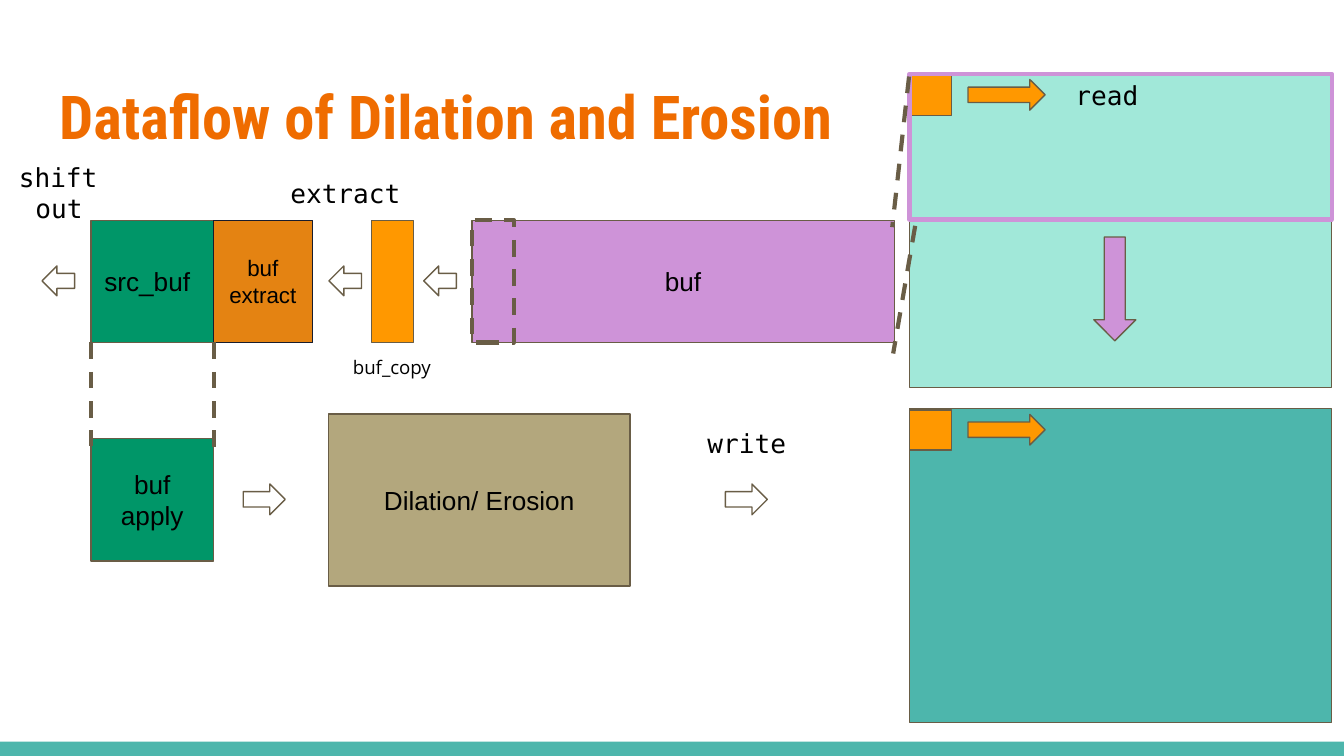
import pptx
import pptx.util
import pptx.dml.color
import pptx.enum.dml
import pptx.enum.shapes
import pptx.enum.text
import lxml.etree

Pt = pptx.util.Pt
SHAPE = pptx.enum.shapes.MSO_SHAPE
ALIGN = pptx.enum.text.PP_ALIGN
ANCHOR = pptx.enum.text.MSO_ANCHOR
DASH = pptx.enum.dml.MSO_LINE.DASH

color = pptx.dml.color.RGBColor.from_string
BROWN, TEAL, MINT, PURPLE = "695D46", "4DB6AC", "A1E8D9", "CE93D8"
ORANGE, GREEN, WHITE = "FF9800", "009668", "FFFFFF"


def write(frame, text, anchor, align, font_name, size, hue="000000", bold=False):
    frame_format = {"word_wrap": True, "vertical_anchor": anchor,
                    "auto_size": pptx.enum.text.MSO_AUTO_SIZE.NONE}
    for side in ("left", "right", "top", "bottom"):
        frame_format["margin_" + side] = Pt(7.2)
    for key, value in frame_format.items():
        setattr(frame, key, value)
    frame.text = text
    for paragraph in frame.paragraphs:
        paragraph.alignment = align
        for key, value in {"name": font_name, "size": Pt(size), "bold": bold}.items():
            setattr(paragraph.font, key, value)
        paragraph.font.color.rgb = color(hue)


def block(kind, left, top, width, height, fill=None, line=BROWN, weight=0.75, dash=None):
    part = slide.shapes.add_shape(kind, Pt(left), Pt(top), Pt(width), Pt(height))
    part.shadow.inherit = False
    if fill:
        part.fill.solid()
        part.fill.fore_color.rgb = color(fill)
    else:
        part.fill.background()
    if line:
        part.line.color.rgb = color(line)
        part.line.width = Pt(weight)
        part.line.dash_style = dash
    else:
        part.line.fill.background()
    return part


deck = pptx.Presentation()
deck.slide_width, deck.slide_height = Pt(720), Pt(405)
slide = deck.slides.add_slide(deck.slide_layouts[5])

# Footer band and title
block(SHAPE.RECTANGLE, 0, 397.4, 720, 7.6, TEAL, None)
title = slide.shapes.title
title_place = {"left": 24.5, "top": 35.3, "width": 671, "height": 55.4}
for key, value in title_place.items():
    setattr(title, key, Pt(value))
write(title.text_frame, "Dataflow of Dilation and Erosion", ANCHOR.TOP, ALIGN.LEFT,
      "Roboto Condensed", 32.4, "EF6C00", True)

# Shared grid
image_left, image_width, image_height = 487.2, 226.3, 168
source_top, result_top = 39.6, 219
row_top, cell = 118, 65.5
buf_left, pixel_width, pixel_height = 252.8, 22.5, 21.6
src_left, apply_top = 48.8, 235

# Source and result images, each with its pixel block and scan arrow
for top, fill in ((source_top, MINT), (result_top, TEAL)):
    block(SHAPE.RECTANGLE, image_left, top, image_width, image_height, fill)
    block(SHAPE.RECTANGLE, image_left, top + 0.6, pixel_width, pixel_height, ORANGE)
    block(SHAPE.RIGHT_ARROW, 518.6, top + 3, 41.3, 16.4, ORANGE)
block(SHAPE.DOWN_ARROW, 586, 127, 22.5, 55.6, PURPLE)
block(SHAPE.RECTANGLE, image_left, source_top, image_width, 78, None, PURPLE, 2.25)

# Buffers and the operator
center, left = ALIGN.CENTER, ALIGN.LEFT
for text, x, y, width, height, fill, line, size, align in (
    ("buf", buf_left, row_top, image_width, cell, PURPLE, BROWN, 14, center),
    ("src_buf", src_left, row_top, 118.5, cell, GREEN, BROWN, 14, left),
    ("buf\nextract", 114.4, row_top, 52.9, cell, "E48312", "171C2D", 12, center),
    ("buf\napply", src_left, apply_top, cell, cell, GREEN, BROWN, 14, center),
    ("Dilation/ Erosion", 176, 221.7, 161.5, 92.2, "B3A77D", BROWN, 14, center),
):
    buffer = block(SHAPE.RECTANGLE, x, y, width, height, fill, line)
    write(buffer.text_frame, text, ANCHOR.MIDDLE, align, "Arial", size)

# Column copied out of buf
block(SHAPE.RECTANGLE, 199, row_top, pixel_width, cell, ORANGE)
block(SHAPE.RECTANGLE, buf_left, row_top, pixel_width, cell, None, BROWN, 2.25, DASH)

# Flow arrows
for x in (22.5, 176.2, 227):
    block(SHAPE.LEFT_ARROW, x, 142.5, 17.5, 16, WHITE)
for x in (130.3, 388.6):
    block(SHAPE.RIGHT_ARROW, x, 259.3, 22.5, 16.5, WHITE)

# Dashed guides between matching corners
for x1, y1, x2, y2 in (
    (src_left, 183.5, src_left, 239),
    (114.5, 183.5, 114.5, 241),
    (487, 41, 478, 121.7),
    (490.3, 121, 478.5, 189.4),
):
    guide = slide.shapes.add_connector(
        pptx.enum.shapes.MSO_CONNECTOR.STRAIGHT, Pt(x1), Pt(y1), Pt(x2), Pt(y2))
    guide.line.color.rgb = color(BROWN)
    guide.line.width = Pt(2.25)
    guide.line.dash_style = DASH
    lxml.etree.SubElement(guide._element.spPr, pptx.oxml.ns.qn("a:effectLst"))

# Step labels
MONO = "DejaVu Sans Mono"
for text, x, y, width, height, font_name, size, align in (
    ("buf_copy", 182, 183.6, 57.2, 26.6, "Open Sans", 10, left),
    ("read", 569, 35.3, 57.2, 31.7, MONO, 14, left),
    ("shift\nout", 3, 79.2, 57.2, 48.2, MONO, 14, left),
    ("extract", 148, 87.8, 74.2, 31.7, MONO, 14, center),
    ("write", 363, 221.8, 74.2, 31.7, MONO, 14, center),
):
    label = slide.shapes.add_textbox(Pt(x), Pt(y), Pt(width), Pt(height))
    write(label.text_frame, text, ANCHOR.TOP, align, font_name, size)
    if text.endswith("out"):
        label.text_frame.paragraphs[-1].alignment = center

deck.save("out.pptx")
